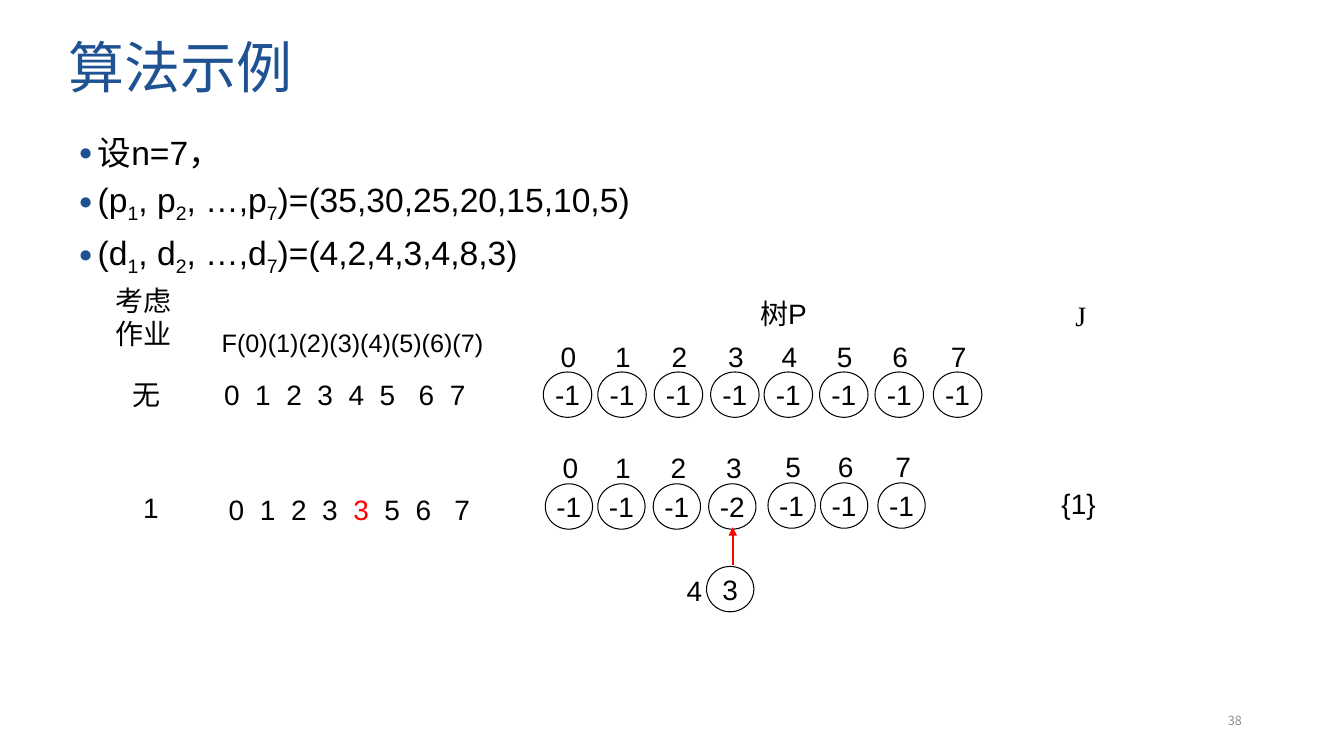
from pptx import Presentation
from pptx.dml.color import RGBColor
from pptx.enum.shapes import MSO_CONNECTOR as Connector, MSO_SHAPE as Preset
from pptx.enum.text import MSO_ANCHOR as Anchor, PP_ALIGN as Align
from pptx.oxml.ns import qn
from pptx.util import Pt
from lxml.etree import SubElement

BLACK = RGBColor(0x00, 0x00, 0x00)
BLUE = RGBColor(0x1E, 0x52, 0x93)
RED = RGBColor(0xFF, 0x00, 0x00)
GRAY = RGBColor(0x8C, 0x8C, 0x8C)

LATIN = "Arial"
CHINESE = "Noto Sans CJK SC"
SERIF = "Times New Roman"

DIGIT_PITCH = 22.24
EXTRA_GAP = 5.56
NODE_HEIGHT = 32.4
NODE_LABEL_OFFSET = 23.5


def add_run(paragraph, text, size=20, color=BLACK, font=LATIN, baseline=0):
    run = paragraph.add_run()
    run.text = text
    run.font.size = Pt(size)
    run.font.name = font
    run.font.color.rgb = color
    if baseline:
        run.font._element.set("baseline", str(baseline * 1000))


def set_frame(shape, inset_x=0, inset_y=0, anchor=Anchor.TOP):
    frame = shape.text_frame
    frame.word_wrap = True
    frame.margin_left = frame.margin_right = Pt(inset_x)
    frame.margin_top = frame.margin_bottom = Pt(inset_y)
    frame.vertical_anchor = anchor
    return frame


def add_box(slide, left, top, width, height, **frame_options):
    shape = slide.shapes.add_textbox(Pt(left), Pt(top), Pt(width), Pt(height))
    return set_frame(shape, **frame_options)


def add_label(slide, left, top, width, height, text, align=Align.LEFT, **run_options):
    paragraph = add_box(slide, left, top, width, height).paragraphs[0]
    paragraph.alignment = align
    add_run(paragraph, text, **run_options)


def add_bullet(paragraph):
    properties = paragraph._p.get_or_add_pPr()
    properties.set("marL", str(Pt(13.7)))
    properties.set("indent", str(-Pt(13.7)))
    color = SubElement(properties, qn("a:buClr"))
    SubElement(color, qn("a:srgbClr"), val=str(BLUE))
    SubElement(properties, qn("a:buSzPct"), val="70000")
    SubElement(properties, qn("a:buFont"), typeface=LATIN)
    SubElement(properties, qn("a:buChar"), char="●")


def add_tab_stops(paragraph, positions):
    tab_list = SubElement(paragraph._p.get_or_add_pPr(), qn("a:tabLst"))
    for position in positions:
        SubElement(tab_list, qn("a:tab"), pos=str(Pt(position)), algn="l")


def digit_positions(start, wide_from):
    return [start + i * DIGIT_PITCH + (EXTRA_GAP if i >= wide_from else 0) for i in range(8)]


def sequence_runs(letter, values):
    yield "(", 0
    for index in "127":
        yield {"1": "", "2": ", ", "7": ", …,"}[index] + letter, 0
        yield index, -25
    yield f")=({values})", 0


def add_givens(slide):
    frame = add_box(slide, 49, 87.8, 433.4, 130.3, inset_x=7.2, inset_y=3.6)
    lines = [
        [("设n=7，", 0)],
        sequence_runs("p", "35,30,25,20,15,10,5"),
        sequence_runs("d", "4,2,4,3,4,8,3"),
    ]
    for i, line in enumerate(lines):
        paragraph = frame.add_paragraph() if i else frame.paragraphs[0]
        paragraph.line_spacing = 1.1
        if i:
            paragraph.space_before = Pt(1.5)
        add_bullet(paragraph)
        for text, baseline in line:
            add_run(paragraph, text, size=24, baseline=baseline)


def add_node(slide, left, top, width, value):
    node = slide.shapes.add_shape(Preset.OVAL, Pt(left), Pt(top), Pt(width), Pt(NODE_HEIGHT))
    node.shadow.inherit = False
    node.fill.background()
    node.line.color.rgb = BLACK
    node.line.width = Pt(0.75)
    paragraph = set_frame(node, anchor=Anchor.MIDDLE).paragraphs[0]
    paragraph.alignment = Align.CENTER
    add_run(paragraph, value)


def add_root(slide, left, top, width, index, value="-1"):
    add_node(slide, left, top, width, value)
    add_label(slide, left + 11.5, top - NODE_LABEL_OFFSET, 13, 20.6, index, Align.CENTER)


def add_arrow(slide, x, start_y, end_y):
    arrow = slide.shapes.add_connector(Connector.STRAIGHT, Pt(x), Pt(start_y), Pt(x), Pt(end_y))
    arrow.line.color.rgb = RED
    arrow.line.width = Pt(1.5)
    SubElement(arrow.line._get_or_add_ln(), qn("a:tailEnd"), type="triangle")
    SubElement(arrow._element.spPr, qn("a:effectLst"))


def add_headings(slide):
    title = add_box(slide, 41.8, 12.2, 648, 76.3, inset_x=7.2, inset_y=3.6, anchor=Anchor.MIDDLE)
    title.paragraphs[0].line_spacing = 0.9
    add_run(title.paragraphs[0], "算法示例", size=40, color=BLUE)

    job = add_box(slide, 82.8, 202.3, 51.8, 56.9)
    add_run(job.paragraphs[0], "考虑", font=CHINESE)
    add_run(job.add_paragraph(), "作业", font=CHINESE)

    tree = add_box(slide, 542.9, 211.7, 57.6, 23.8).paragraphs[0]
    add_run(tree, "树", font=CHINESE)
    add_run(tree, "P")

    add_label(slide, 768.2, 213.1, 18, 25.2, "J", font=SERIF)
    add_label(slide, 158.4, 234, 280.8, 21.6, "F(0)(1)(2)(3)(4)(5)(6)(7)", size=18)


def add_initial_state(slide):
    row = add_box(slide, 95, 269.3, 268.6, 28.1).paragraphs[0]
    add_tab_stops(row, digit_positions(65.1, wide_from=6))
    add_run(row, "无\t", font=CHINESE)
    add_run(row, "\t".join("01234567"))

    lefts = [388.1, 427, 467.3, 507.6, 545.8, 585.4, 625, 666.7]
    for index, left in enumerate(lefts):
        add_root(slide, left, 265.7, 34.6, str(index))


def add_first_job(slide):
    add_label(slide, 102.2, 350.6, 38.2, 24.5, "1")
    row = add_box(slide, 163.4, 352.1, 226.8, 28.1).paragraphs[0]
    add_tab_stops(row, digit_positions(0, wide_from=7)[1:])
    add_run(row, "0\t1\t2\t3\t")
    add_run(row, "3", color=RED)
    add_run(row, "\t5\t6\t7")

    for index, left, top, value in [
        ("0", 389.5, 345.6, "-1"),
        ("1", 427, 345.6, "-1"),
        ("2", 466.6, 345.6, "-1"),
        ("3", 506.2, 345.6, "-2"),
        ("5", 548.6, 344.9, "-1"),
        ("6", 586.1, 344.9, "-1"),
        ("7", 627.1, 344.9, "-1"),
    ]:
        add_root(slide, left, top, 33.8, index, value)
    add_node(slide, 504.7, 404.6, 33.8, "3")
    add_label(slide, 489.6, 409.7, 13, 20.2, "4", Align.CENTER)
    add_arrow(slide, 523.4, 403.9, 376.6)
    add_label(slide, 758.2, 347.8, 38.9, 31, "{1}")


def add_slide_number(slide):
    frame = add_box(slide, 678.2, 500.4, 216, 28.8, inset_x=7.2, inset_y=3.6, anchor=Anchor.MIDDLE)
    frame.paragraphs[0].alignment = Align.RIGHT
    add_run(frame.paragraphs[0], "38", size=9, color=GRAY, font=CHINESE)


def main():
    presentation = Presentation()
    presentation.slide_width = Pt(960)
    presentation.slide_height = Pt(540)
    slide = presentation.slides.add_slide(presentation.slide_layouts[6])
    add_headings(slide)
    add_givens(slide)
    add_initial_state(slide)
    add_first_job(slide)
    add_slide_number(slide)
    presentation.save("out.pptx")


if __name__ == "__main__":
    main()
